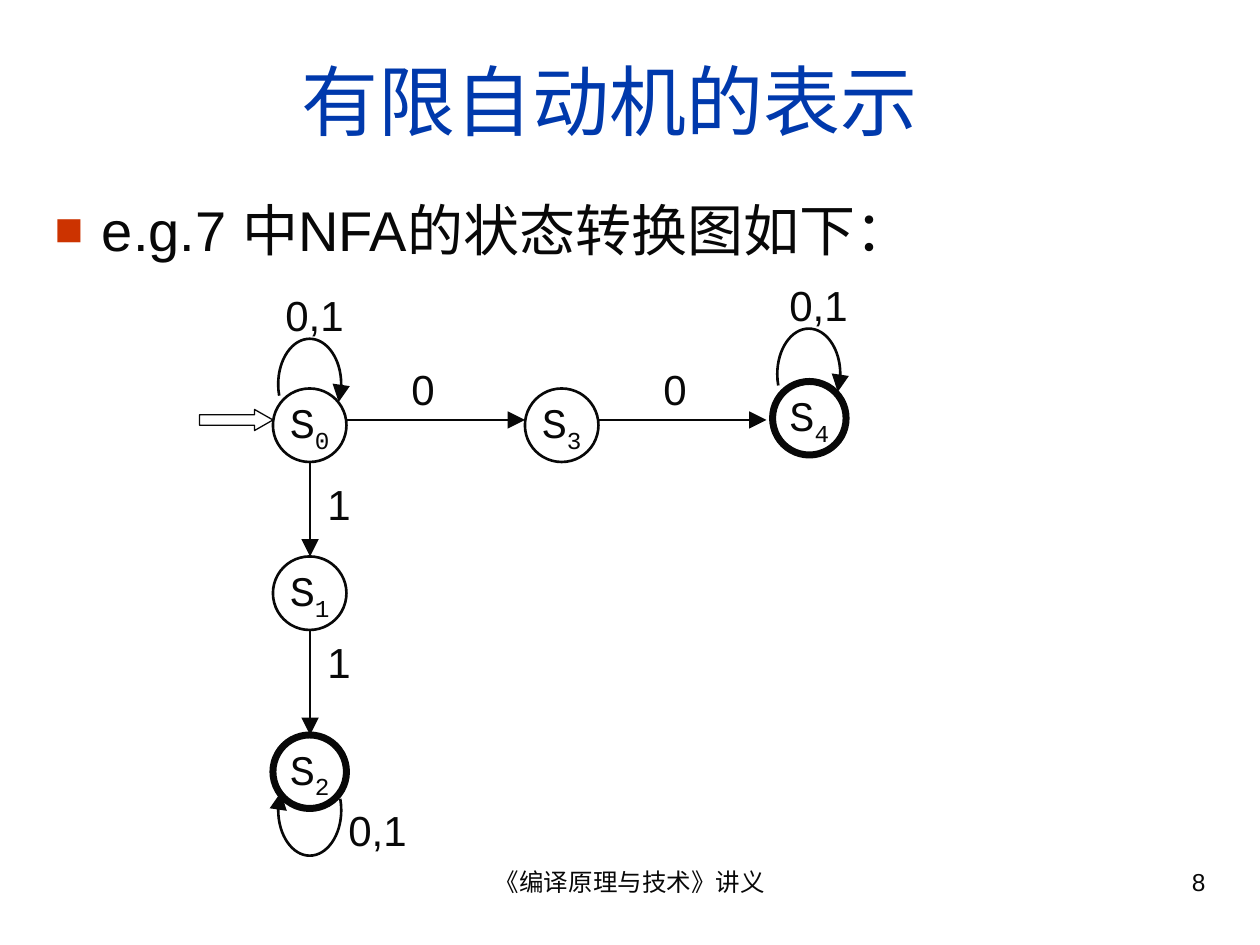
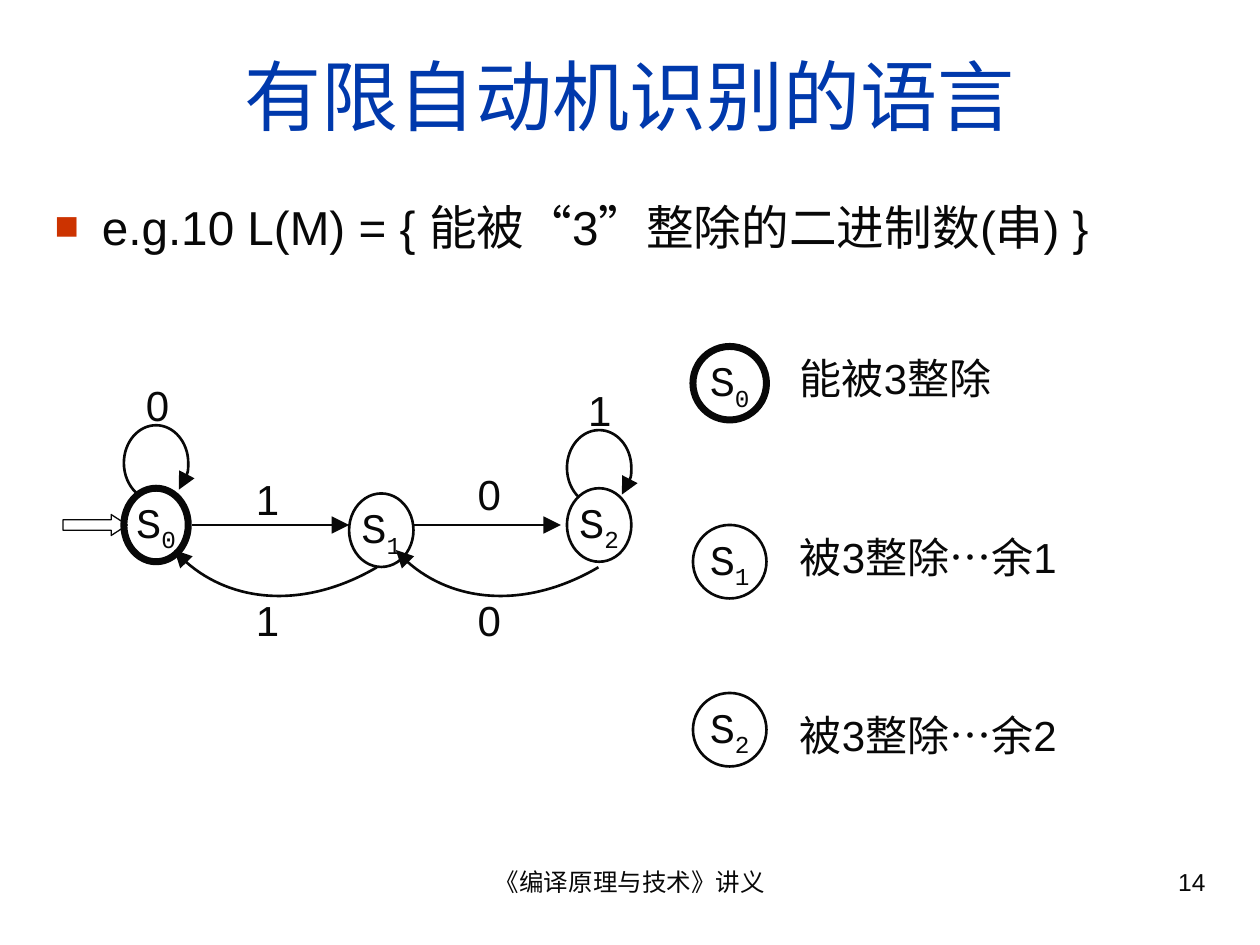
"""Build two lecture slides on finite automata: an NFA and the multiples-of-three DFA."""
from dataclasses import dataclass
from math import cos, radians, sin, tan

from lxml import etree
from pptx import Presentation
from pptx import util as u
from pptx.dml.color import RGBColor
from pptx.enum import shapes, text
from pptx.oxml import ns


@dataclass(frozen=True)
class Theme:
    ink: RGBColor = RGBColor.from_string("080808")
    blue: RGBColor = RGBColor.from_string("0039AC")
    bullet: str = "CC3300"
    sans: str = "Arial"
    mono: str = "Courier New"
    title: float = 44
    label: float = 24
    footer: float = 14
    thin: float = 0.75
    normal: float = 1.5
    final: float = 4


theme = Theme()
align = text.PP_ALIGN
anchor = text.MSO_ANCHOR
fit = text.MSO_AUTO_SIZE

LABEL = {"word_wrap": True, "auto_size": fit.SHAPE_TO_FIT_TEXT}
FIXED = {"word_wrap": True, "auto_size": fit.NONE}
CENTRED = {**FIXED, "vertical_anchor": anchor.MIDDLE}
STATE = {**CENTRED, "word_wrap": False}


def write(frame, wording, size, layout, alignment=align.LEFT, font=theme.sans,
          color=theme.ink, subscript=""):
    """Fill a text frame with one formatted paragraph and return it."""
    for name, value in layout.items():
        setattr(frame, name, value)
    para = frame.paragraphs[0]
    for name, value in {"alignment": alignment, "space_before": u.Pt(0)}.items():
        setattr(para, name, value)
    for piece in filter(None, (wording, subscript)):
        span = para.add_run()
        span.text = piece
        for name, value in {"size": u.Pt(size), "name": font, "bold": False}.items():
            setattr(span.font, name, value)
        span.font.color.rgb = color
    if subscript:
        span.font._element.set("baseline", "-25000")
    return para


def outline(shape, width=theme.normal, arrow=False):
    """Give a shape or connector a plain dark line, optionally ending in an arrowhead."""
    shape.line.color.rgb = theme.ink
    shape.line.width = u.Pt(width)
    if arrow:
        etree.SubElement(shape.line._get_or_add_ln(), ns.qn("a:tailEnd"),
                         type="triangle", w="lg", len="lg")
    if hasattr(shape, "fill"):
        shape.fill.background()
    etree.SubElement(shape._element.spPr, ns.qn("a:effectLst"))


slides = [
    {
        "title": ("有限自动机的表示", (12.4, 12, 672, 90)),
        "body": ("e.g.7 中NFA的状态转换图如下：", 32, (24, 108, 672, 60)),
        "number": "8",
        "entry": (114, 234, 42, 12, 0.875),
        "lines": [(198, 240, 300, 240), (342, 240, 438, 240),
                  (177.2, 264, 177.2, 318), (177.2, 360, 177.2, 420)],
        "arcs": [(177, 219.6, 18, 26, 165.5, 383, 0), (462.2, 213.8, 18, 26, 165.5, 383, 0),
                 (177, 478.8, 18, 26, 165.5, 383, 180)],
        "states": [("0", 156, 222, 42, False), ("3", 300, 222, 42, False),
                   ("1", 156, 318, 42, False), ("2", 156, 420, 42, True),
                   ("4", 441.5, 218, 42, True)],
        "labels": [("0,1", 156, 162, 66), ("0", 228, 204, 66), ("0", 372, 204, 66),
                   ("0,1", 444, 156, 66), ("1", 180, 270, 66), ("1", 180, 360, 66),
                   ("0,1", 192, 456, 66)],
    },
    {
        "title": ("有限自动机识别的语言", (24, 18, 672, 72)),
        "body": ("e.g.10 L(M) = { 能被“3”整除的二进制数(串) }", 27.2, (24, 109.2, 672, 52.5)),
        "number": "14",
        "entry": (36, 294, 36.8, 12, 0.769),
        "lines": [(110, 300, 199.5, 300), (236, 300, 320.5, 300)],
        "arcs": [(89.2, 264.6, 18.4, 21.6, 128, 405, 0),
                 (342.4, 267.4, 18.4, 21.6, 128, 405, 0),
                 (107.3, 353.5, 95.8, 78, 270, 352, 149.6),
                 (233.9, 353.5, 95.8, 78, 270, 352, 149.6)],
        "states": [("0", 70.8, 279, 36.8, True), ("1", 199.5, 282, 36.8, False),
                   ("2", 324, 279, 36.8, False), ("0", 396, 198, 42, True),
                   ("1", 396, 300, 42, False), ("2", 396, 396, 42, False)],
        "labels": [("0", 76.3, 213.3, 36.8), ("1", 139.2, 267, 36.8), ("0", 265.8, 264, 36.8),
                   ("1", 139.2, 336, 36.8), ("0", 265.8, 336, 36.8), ("1", 329, 216, 36.8),
                   ("能被3整除", 450, 198, 192), ("被3整除…余1", 450, 300, 192),
                   ("被3整除…余2", 450, 402, 192)],
    },
]

deck = Presentation()
deck.slide_width, deck.slide_height = u.Pt(720), u.Pt(540)

for content in slides:
    page = deck.slides.add_slide(deck.slide_layouts[1])
    canvas = page.shapes
    heading, bullets = page.placeholders

    wording, place = content["title"]
    for name, value in zip(("left", "top", "width", "height"), place):
        setattr(heading, name, u.Pt(value))
    write(heading.text_frame, wording, theme.title, CENTRED, align.CENTER, color=theme.blue)

    wording, size, place = content["body"]
    for name, value in zip(("left", "top", "width", "height"), place):
        setattr(bullets, name, u.Pt(value))
    para = write(bullets.text_frame, wording, size, FIXED)
    props = para._p.get_or_add_pPr()
    for name, value in {"marL": u.Pt(27), "indent": -u.Pt(27)}.items():
        props.set(name, str(value))
    tint = etree.SubElement(props, ns.qn("a:buClr"))
    etree.SubElement(tint, ns.qn("a:srgbClr"), val=theme.bullet)
    etree.SubElement(props, ns.qn("a:buSzPct"), val="85000")
    etree.SubElement(props, ns.qn("a:buFont"), typeface=theme.sans)
    etree.SubElement(props, ns.qn("a:buChar"), char="■")

    for wording, left, width, side in (("《编译原理与技术》讲义", 246, 228, align.CENTER),
                                       (content["number"], 516, 180, align.RIGHT)):
        box = canvas.add_textbox(u.Pt(left), u.Pt(492), u.Pt(width), u.Pt(37.5))
        write(box.text_frame, wording, theme.footer, FIXED, side)

    *place, head = content["entry"]
    entry = canvas.add_shape(shapes.MSO_SHAPE.RIGHT_ARROW, *map(u.Pt, place))
    entry.adjustments[1] = head
    outline(entry, theme.thin)

    for ends in content["lines"]:
        outline(canvas.add_connector(shapes.MSO_CONNECTOR.STRAIGHT, *map(u.Pt, ends)), arrow=True)

    for center_x, center_y, radius_x, radius_y, start, end, rotation in content["arcs"]:
        stops = [start, *(turn for turn in (180, 270, 360) if start < turn < end), end]
        unit = [(cos(radians(start)), sin(radians(start)))]
        for first, last in zip(stops, stops[1:]):
            a, b = radians(first), radians(last)
            pull = 4 / 3 * tan((b - a) / 4)
            unit += [(cos(a) - pull * sin(a), sin(a) + pull * cos(a)),
                     (cos(b) + pull * sin(b), sin(b) - pull * cos(b)), (cos(b), sin(b))]
        controls = [(u.Pt(center_x + radius_x * x), u.Pt(center_y + radius_y * y)) for x, y in unit]
        builder = canvas.build_freeform(u.Pt(center_x), u.Pt(center_y))
        builder.add_line_segments(controls, close=False)
        arc = builder.convert_to_shape()
        arc.rotation = rotation
        track = arc._element.find(".//" + ns.qn("a:path"))
        _, origin, *handles = track.findall(".//" + ns.qn("a:pt"))
        for step in list(track):
            track.remove(step)
        etree.SubElement(track, ns.qn("a:moveTo")).append(origin)
        for index in range(0, len(handles), 3):
            etree.SubElement(track, ns.qn("a:cubicBezTo")).extend(handles[index:index + 3])
        outline(arc, arrow=True)

    for index, left, top, width, accepting in content["states"]:
        state = canvas.add_shape(shapes.MSO_SHAPE.OVAL, u.Pt(left), u.Pt(top), u.Pt(width), u.Pt(42))
        outline(state, theme.final if accepting else theme.normal)
        write(state.text_frame, "S", theme.label, STATE, align.CENTER, theme.mono, subscript=index)

    for wording, left, top, width in content["labels"]:
        box = canvas.add_textbox(u.Pt(left), u.Pt(top), u.Pt(width), u.Pt(36))
        write(box.text_frame, wording, theme.label, LABEL)

deck.save("out.pptx")
